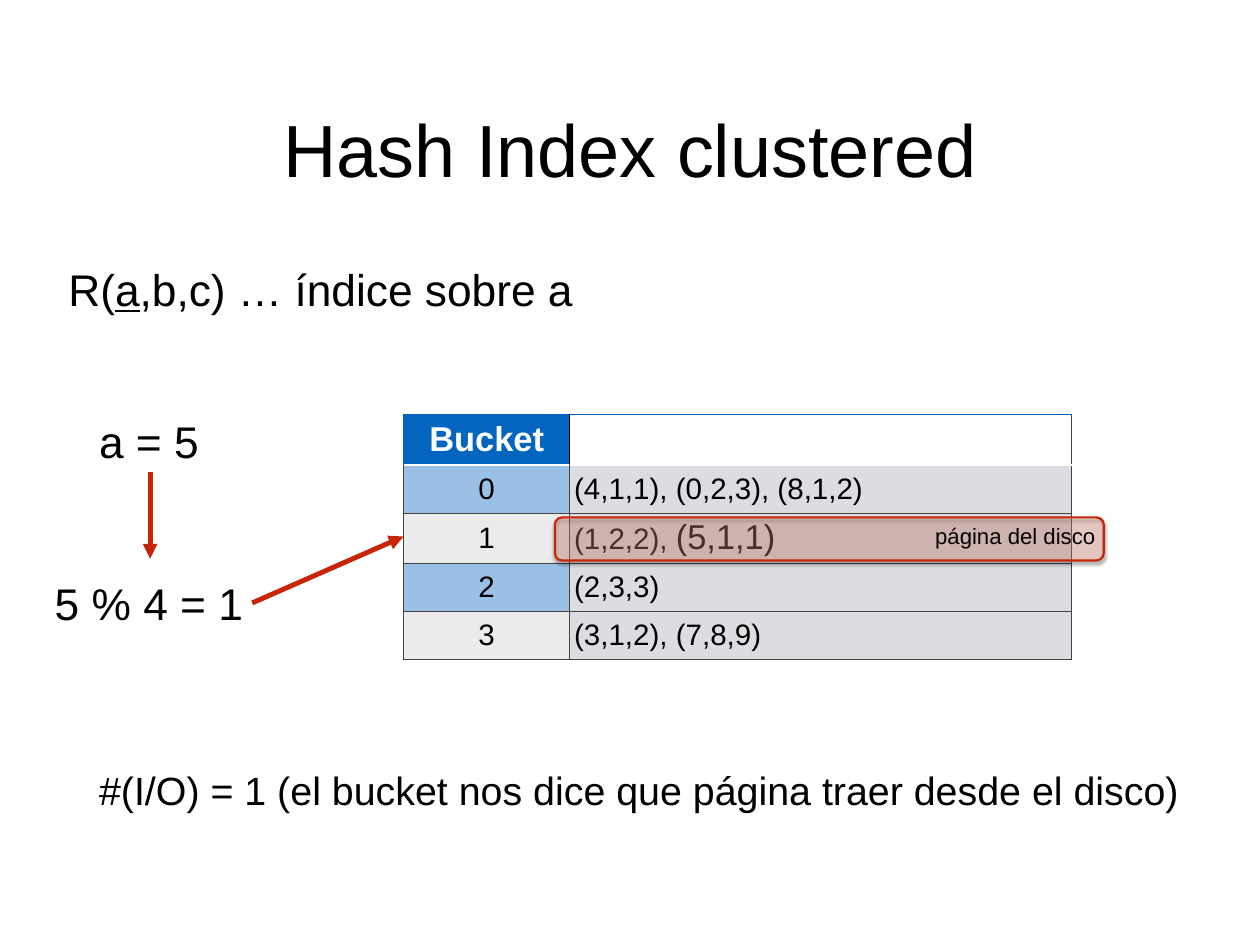
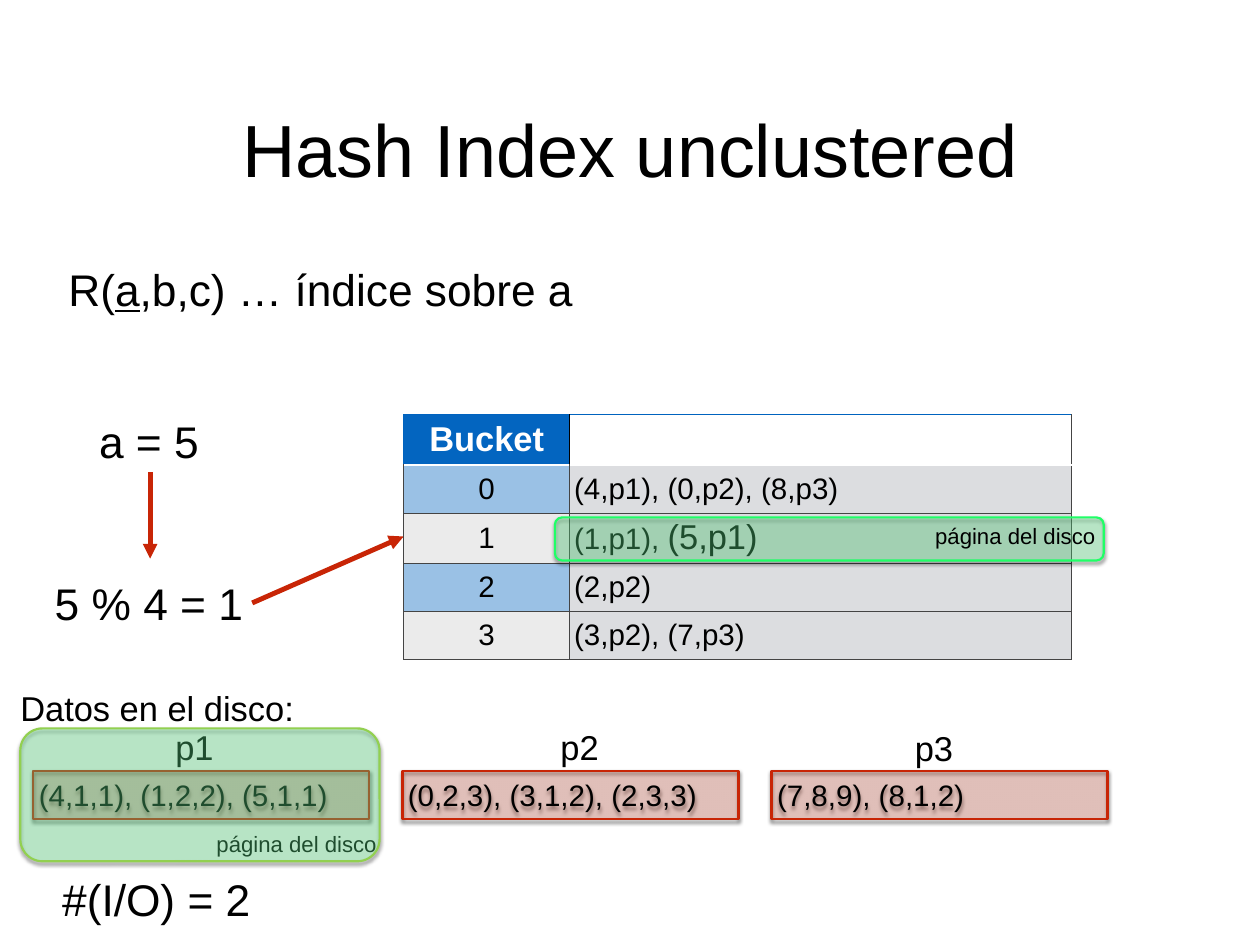
from lxml.etree import SubElement
from pptx import Presentation
from pptx.dml.color import RGBColor
from pptx.enum.shapes import MSO_CONNECTOR as Connector, MSO_SHAPE as Shape
from pptx.enum.text import MSO_ANCHOR as Anchor, PP_ALIGN as Align
from pptx.oxml.ns import qn
from pptx.util import Pt

FONT = "Arial"
BLACK, WHITE = "000000", "FFFFFF"
BLUE, EDGE_BLUE, EDGE_DARK = "0365C0", "0063BF", "444444"
LIGHT_GREY, GREY = "EBEBEB", "DCDDE0"
RED, PINK = "C82506", "FB9B89"
GREEN, BRIGHT_GREEN, OLIVE_GREEN = "69FF99", "1FFF66", "92D050"
PAGE_LABEL = "página del disco"


def color(value):
    return RGBColor.from_string(value)


def points(*values):
    return [Pt(value) for value in values]


def add_element(parent, tag, **attributes):
    return SubElement(parent, qn(tag), {name: str(value) for name, value in attributes.items()})


def paint(fill, properties, value, opacity=100):
    fill.solid()
    fill.fore_color.rgb = color(value)
    if opacity < 100:
        node = properties.find(qn("a:solidFill")).find(qn("a:srgbClr"))
        add_element(node, "a:alpha", val=opacity * 1000)


def write(frame, runs, size, ink=BLACK, bold=False, align=Align.LEFT):
    paragraph = frame.paragraphs[0]
    paragraph.alignment = align
    for text, changes in runs:
        run = paragraph.add_run()
        run.text = text
        font = run.font
        font.name = FONT
        font.size = Pt(changes.get("size", size))
        font.bold = bold
        font.underline = changes.get("underline", False)
        font.color.rgb = color(ink)


def format_frame(frame):
    frame.word_wrap = True
    frame.vertical_anchor = Anchor.MIDDLE
    frame.margin_left = frame.margin_right = Pt(4.5)
    frame.margin_top = frame.margin_bottom = Pt(4.5)


def add_text(slide, box, runs, size, align=Align.LEFT):
    frame = slide.shapes.add_textbox(*points(*box)).text_frame
    format_frame(frame)
    write(frame, runs, size, align=align)


def add_panel(slide, kind, box, fill, opacity, edge, width):
    shape = slide.shapes.add_shape(kind, *points(*box))
    properties = shape._element.spPr
    paint(shape.fill, properties, fill, opacity)
    shape.line.color.rgb = color(edge)
    shape.line.width = Pt(width)
    shape.shadow.inherit = False
    shadow = add_element(properties.find(qn("a:effectLst")), "a:outerShdw",
                         blurRad=Pt(3), dist=Pt(2), dir=5400000, rotWithShape=0)
    ink = add_element(shadow, "a:srgbClr", val=BLACK)
    add_element(ink, "a:alpha", val=50000)
    return shape


def add_arrow(slide, start, end):
    arrow = slide.shapes.add_connector(Connector.STRAIGHT, *points(*start, *end))
    arrow.line.color.rgb = color(RED)
    arrow.line.width = Pt(4)
    properties = arrow._element.spPr
    add_element(properties.find(qn("a:ln")), "a:tailEnd", type="triangle")
    add_element(properties, "a:effectLst")


def add_title(slide, box, text):
    title = slide.shapes.title
    title.left, title.top, title.width, title.height = points(*box)
    format_frame(title.text_frame)
    write(title.text_frame, [(text, {})], 60, align=Align.CENTER)


def add_page_label(slide, left, top):
    add_text(slide, (left, top, 206, 30), [(PAGE_LABEL, {})], 18, Align.CENTER)


def add_lookup(slide, left, top):
    add_text(slide, (left + 36, top, 92, 51), [("a = 5", {})], 36)
    add_arrow(slide, (left + 82, top + 51), (left + 82, top + 121))
    add_text(slide, (left, top + 131, 166, 51), [("5 % 4 = 1", {})], 36)
    add_arrow(slide, (left + 165, top + 157), (left + 288, top + 103))


def format_cell(cell, row, column, fill, opacity):
    cell.vertical_anchor = Anchor.MIDDLE
    cell.margin_left = cell.margin_right = Pt(3.6)
    cell.margin_top = cell.margin_bottom = Pt(3.6)
    side = EDGE_BLUE if row == 0 and column == 0 else EDGE_DARK
    divider = BLACK if row == 0 else EDGE_DARK
    edges = {
        "a:lnL": (side if column == 0 else divider, 0.75),
        "a:lnR": (divider if column == 0 else EDGE_DARK, 0.75),
        "a:lnT": {0: (EDGE_BLUE, 0.75), 1: (WHITE, 2)}.get(row, (EDGE_DARK, 0.75)),
        "a:lnB": (WHITE, 2) if row == 0 else (EDGE_DARK, 0.75),
    }
    properties = cell._tc.get_or_add_tcPr()
    for tag, (edge, width) in edges.items():
        line = add_element(properties, tag, w=Pt(width))
        add_element(add_element(line, "a:solidFill"), "a:srgbClr", val=edge)
    paint(cell.fill, properties, fill, opacity)


def add_buckets(slide, left, top, entries, fill, edge):
    row_count = len(entries) + 1
    frame = slide.shapes.add_table(row_count, 2, *points(left, top, 543, 39 * row_count))
    table = frame.table
    table.first_row = table.horz_banding = False
    for column, width in enumerate((135, 408)):
        table.columns[column].width = Pt(width)
    for row in table.rows:
        row.height = Pt(39)
    header = table.cell(0, 0)
    format_cell(header, 0, 0, BLUE, 100)
    write(header.text_frame, [("Bucket", {})], 28, WHITE, True, Align.CENTER)
    format_cell(table.cell(0, 1), 0, 1, WHITE, 100)
    for row, runs in enumerate(entries, 1):
        key, content = table.cell(row, 0), table.cell(row, 1)
        format_cell(key, row, 0, *((BLUE, 40) if row % 2 else (LIGHT_GREY, 100)))
        write(key.text_frame, [(str(row - 1), {})], 24, align=Align.CENTER)
        format_cell(content, row, 1, GREY, 100)
        write(content.text_frame, runs, 24)
    add_panel(slide, Shape.ROUNDED_RECTANGLE, (left + 123, top + 83.5, 446, 35),
              fill, 30, edge, 1.75)
    add_page_label(slide, left + 394, top + 83.5)


def add_disk(slide, left, top, pages):
    add_text(slide, (left, top, 902, 42), [("Datos en el disco:", {})], 28)
    for index, (name, rows, label_left, label_top) in enumerate(pages):
        page_left = left + 15 + 300 * index
        page = add_panel(slide, Shape.RECTANGLE, (page_left, top + 72.5, 273, 39),
                         RED, 20, RED, 2)
        format_frame(page.text_frame)
        write(page.text_frame, [(rows, {})], 24)
        add_text(slide, (page_left + label_left, top + label_top, 92, 42), [(name, {})], 28)
    add_page_label(slide, left + 126, top + 116.5)
    add_panel(slide, Shape.ROUNDED_RECTANGLE, (left + 4.5, top + 38, 292, 108),
              GREEN, 30, OLIVE_GREEN, 1.75)


def add_index_slide(presentation, title, entries, fill, edge):
    slide = presentation.slides.add_slide(presentation.slide_layouts[5])
    add_title(slide, (188, 80, 648, 80), title)
    relation = [("R(", {}), ("a", {"underline": True}), (",b,c) … índice sobre a", {})]
    add_text(slide, (51, 209, 902, 51), relation, 36)
    add_lookup(slide, 40, 333)
    add_buckets(slide, 328, 337, entries, fill, edge)
    return slide


def main():
    presentation = Presentation()
    presentation.slide_width, presentation.slide_height = points(1024, 768)

    clustered = add_index_slide(presentation, "Hash Index clustered", [
        [("(4,1,1), (0,2,3), (8,1,2)", {})],
        [("(1,2,2), ", {}), ("(5,1,1)", {"size": 28})],
        [("(2,3,3)", {})],
        [("(3,1,2), (7,8,9)", {})],
    ], PINK, RED)
    cost = "#(I/O) = 1 (el bucket nos dice que página traer desde el disco)"
    add_text(clustered, (76, 600, 902, 84), [(cost, {})], 32)

    unclustered = add_index_slide(presentation, "Hash Index unclustered", [
        [("(4,p1), (0,p2), (8,p3)", {})],
        [("(1,p1), ", {}), ("(5,p1)", {"size": 28})],
        [("(2,p2)", {})],
        [("(3,p2), (7,p3)", {})],
    ], GREEN, BRIGHT_GREEN)
    add_disk(unclustered, 12, 554, [
        ("p1", "(4,1,1), (1,2,2), (5,1,1)", 111, 31.5),
        ("p2", "(0,2,3), (3,1,2), (2,3,3)", 124, 31.5),
        ("p3", "(7,8,9), (8,1,2)", 112, 33),
    ])
    add_text(unclustered, (46, 705, 902, 51), [("#(I/O) = 2", {})], 36)
    presentation.save("out.pptx")


if __name__ == "__main__":
    main()
